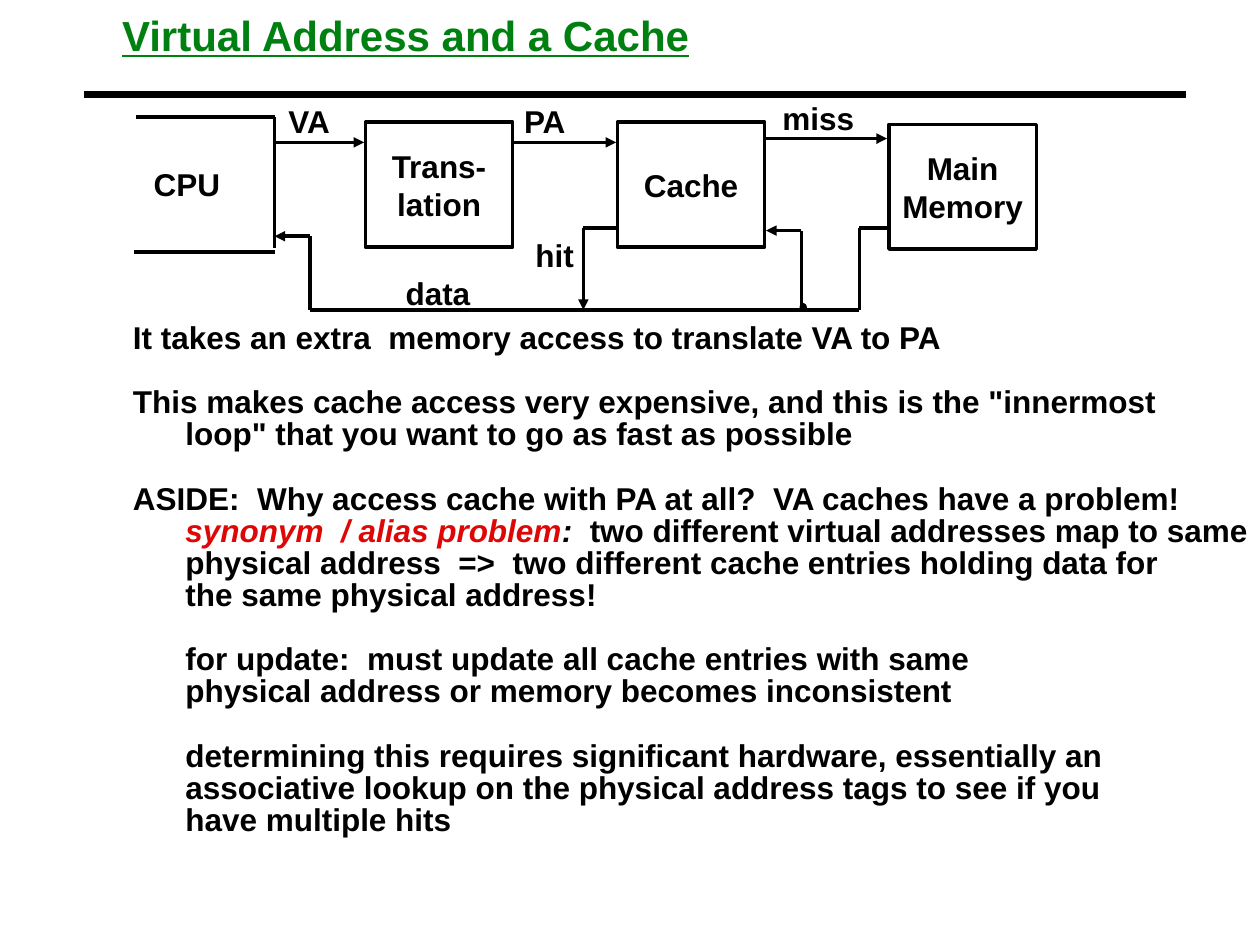
from itertools import pairwise

from lxml import etree
from pptx import Presentation
from pptx.dml.color import RGBColor
from pptx.enum import shapes, text
from pptx.oxml.ns import qn
from pptx.util import Pt

BLACK = RGBColor(0x00, 0x00, 0x00)
GREEN = RGBColor(0x00, 0x80, 0x11)
RED = RGBColor(0xDD, 0x08, 0x06)
BLUE = RGBColor(0x00, 0x00, 0xD4)

LINE_SPACING = 0.85
BLANK_LINE = 18.36
INDENT = 30
BOX_WIDTH, BOX_HEIGHT = 84.24, 71.28

STAGES = [
    ("Trans-\nlation", 208.8, 69.84),
    ("Cache", 352.8, 69.84),
    ("Main\nMemory", 508, 71),
]
LABELS = [
    ("CPU", 82.8, 95.76, 52),
    ("VA", 159.84, 59.76, 38),
    ("PA", 294.48, 59.76, 38),
    ("miss", 442.08, 58, 54),
    ("hit", 300.96, 136.08, 36),
    ("data", 226.8, 157.68, 52),
]
CPU_EDGES = [
    [(77.76, 66.96), (156.96, 66.96), (156.96, 141.84)],
    [(156.96, 144), (76.32, 144)],
]
ARROWS = [
    [(156.96, 81.36), (208.08, 81.36)],
    [(292.32, 81.36), (352.08, 81.36)],
    [(437.04, 79.2), (506.88, 79.2)],
    [(506.88, 130.32), (491.04, 130.32), (491.04, 177.12),
     (177.12, 177.12), (177.12, 135), (156.96, 135)],
    [(457.92, 177.12), (457.92, 131.76), (437.76, 131.76)],
    [(352.08, 130.32), (333.36, 130.32), (333.36, 177.12)],
]
ALIAS = "synonym  / alias problem"
BLOCKS = [
    (0, ["It takes an extra  memory access to translate VA to PA"]),
    (1, ["This makes cache access very expensive, and this is the \"innermost",
         "loop\" that you want to go as fast as possible"]),
    (1, ["ASIDE:  Why access cache with PA at all?  VA caches have a problem!",
         ALIAS + ":  two different virtual addresses map to same",
         "physical address  =>  two different cache entries holding data for",
         "the same physical address!"]),
    (2, ["for update:  must update all cache entries with same",
         "physical address or memory becomes inconsistent"]),
    (2, ["determining this requires significant hardware, essentially an",
         "associative lookup on the physical address tags to see if you",
         "have multiple hits"]),
]


def style_span(span, size=18, color=BLACK):
    """Give a run the bold Arial look of the slide."""
    span.font.name = "Arial"
    span.font.size = Pt(size)
    span.font.bold = True
    span.font.color.rgb = color


def add_text(page, wording, left, top, width, height=22.32, size=18, color=BLACK):
    """Add an unwrapped text box and return its text frame."""
    box = page.shapes.add_textbox(Pt(left), Pt(top), Pt(width), Pt(height))
    frame = box.text_frame
    frame.word_wrap = False
    frame.margin_left = frame.margin_right = Pt(5)
    frame.margin_top = frame.margin_bottom = Pt(2)
    frame.text = wording
    for para in frame.paragraphs:
        para.line_spacing = LINE_SPACING
        for span in para.runs:
            style_span(span, size, color)
    return frame


def add_stage(page, wording, left, top):
    """Add an outlined box with a centred name."""
    box = page.shapes.add_shape(shapes.MSO_SHAPE.RECTANGLE, Pt(left), Pt(top),
                                Pt(BOX_WIDTH), Pt(BOX_HEIGHT))
    box.shadow.inherit = False
    box.fill.background()
    box.line.color.rgb = BLACK
    box.line.width = Pt(2)
    frame = box.text_frame
    frame.word_wrap = False
    frame.vertical_anchor = text.MSO_ANCHOR.MIDDLE
    frame.text = wording
    for para in frame.paragraphs:
        para.alignment = text.PP_ALIGN.CENTER
        for span in para.runs:
            style_span(span)


def add_line(page, start, end, width=2):
    """Add a straight black line without a shadow."""
    ends = [Pt(value) for value in (*start, *end)]
    line = page.shapes.add_connector(shapes.MSO_CONNECTOR.STRAIGHT, *ends)
    line.line.color.rgb = BLACK
    line.line.width = Pt(width)
    etree.SubElement(line._element.spPr, qn("a:effectLst"))
    return line


def add_route(page, points, arrow=False):
    """Join the points with lines, with an arrowhead at the last if asked."""
    for start, end in pairwise(points):
        line = add_line(page, start, end)
    if arrow:
        etree.SubElement(line.line._get_or_add_ln(), qn("a:tailEnd"), type="triangle")


def add_junction(page, left, top, width, height):
    """Add the small dot where two data lines meet."""
    dot = page.shapes.add_shape(shapes.MSO_SHAPE.OVAL, Pt(left), Pt(top),
                                Pt(width), Pt(height))
    dot.shadow.inherit = False
    dot.fill.solid()
    dot.fill.fore_color.rgb = BLUE
    dot.line.color.rgb = BLACK
    dot.line.width = Pt(2)


def highlight_alias(para):
    """Split the alias line into a red italic term, a colon and the rest."""
    rest = para.text.removeprefix(ALIAS + ": ")
    para.text = ""
    for wording, color, italic in ((ALIAS, RED, True), (": ", BLACK, True),
                                   (rest, BLACK, False)):
        span = para.add_run()
        span.text = wording
        style_span(span, color=color)
        span.font.italic = italic


def add_notes_on_cost(page):
    """Add the body text, block by block, with gaps and indents."""
    lines = [line for _, block in BLOCKS for line in block]
    frame = add_text(page, "\n".join(lines), 71, 182.88, 652.32, 334.8)
    paras = iter(frame.paragraphs)
    for level, block in BLOCKS:
        for number, line in enumerate(block):
            para = next(paras)
            if number == 0 and level:
                para.space_before = Pt(BLANK_LINE)
            if number or level == 2:
                para._p.get_or_add_pPr().set("marL", str(Pt(INDENT)))
            if line.startswith(ALIAS):
                highlight_alias(para)


def main():
    """Build the slide and save it."""
    deck = Presentation()
    deck.slide_width, deck.slide_height = Pt(720), Pt(540)
    page = deck.slides.add_slide(deck.slide_layouts[6])
    add_line(page, (48.24, 54), (678, 54), 4.5)
    title = add_text(page, "Virtual Address and a Cache", 64.8, 7.92, 335.52, 53.28,
                     24, GREEN)
    title.paragraphs[0].runs[0].font.underline = True
    for edge in CPU_EDGES:
        add_route(page, edge)
    for stage in STAGES:
        add_stage(page, *stage)
    for points in ARROWS:
        add_route(page, points, arrow=True)
    add_junction(page, 457.92, 174.24, 2.16, 2.88)
    for label in LABELS:
        add_text(page, *label)
    add_notes_on_cost(page)
    deck.save("out.pptx")


if __name__ == "__main__":
    main()
